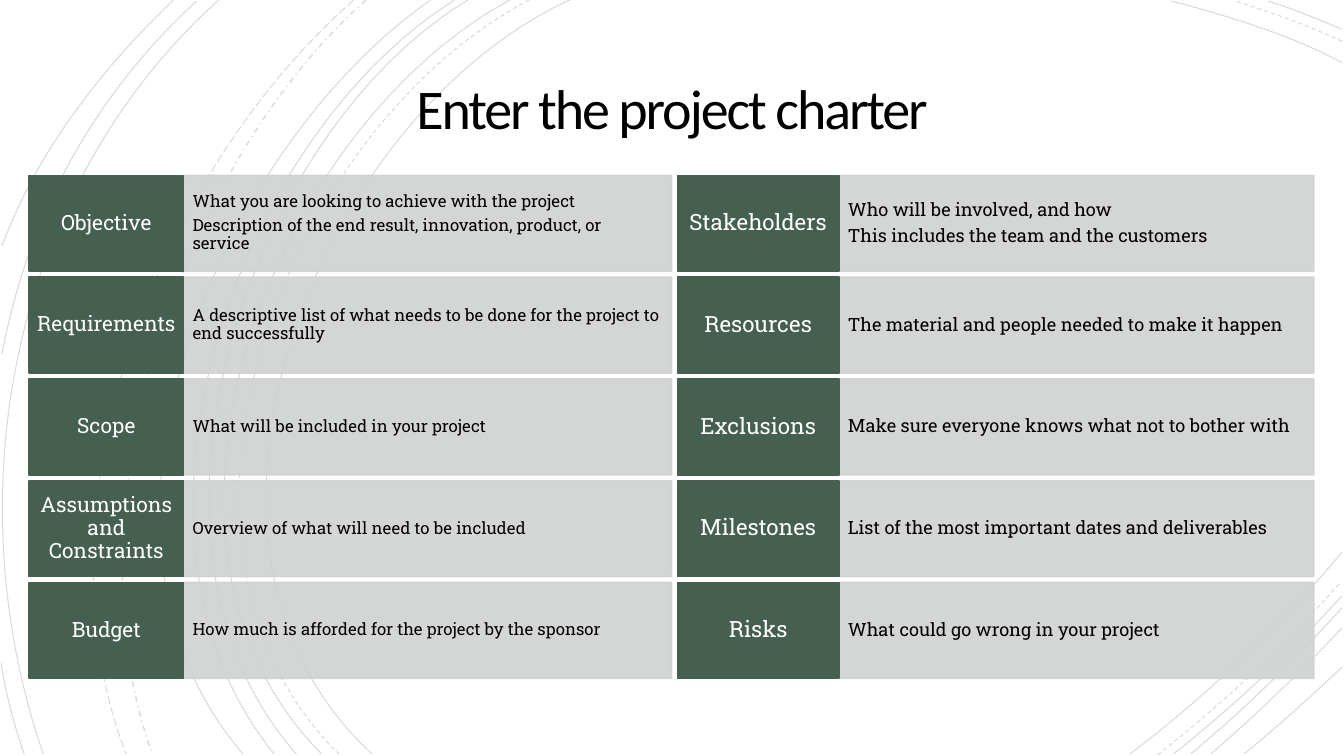
"""Builds the project charter slide: two columns of labelled rows over thin arcs."""
from dataclasses import dataclass

from lxml import etree
from pptx import Presentation
from pptx.dml.color import RGBColor
from pptx.enum.dml import MSO_LINE
from pptx.enum.shapes import MSO_SHAPE
from pptx.enum.text import MSO_ANCHOR, MSO_AUTO_SIZE, PP_ALIGN
from pptx.oxml.ns import qn
from pptx.util import Inches, Pt

RECT = MSO_SHAPE.RECTANGLE
MIDDLE = MSO_ANCHOR.MIDDLE
NO_AUTOFIT = MSO_AUTO_SIZE.NONE
CENTER, LEFT = PP_ALIGN.CENTER, PP_ALIGN.LEFT
SOLID, DASH = MSO_LINE.SOLID, MSO_LINE.DASH
DASH_DOT, LONG_DASH = MSO_LINE.DASH_DOT, MSO_LINE.LONG_DASH


@dataclass(frozen=True)
class Theme:
    ink: str = "000000"
    label_fill: str = "455F51"
    label_text: str = "FFFFFF"
    detail_fill: str = "CFD2D0"
    heading_font: str = "Calibri"
    body_font: str = "Roboto Slab"
    title_size: int = 40
    border: float = 1.25
    detail_alpha: int = 90
    arc_alpha: int = 15


THEME = Theme()
TITLE = "Enter the project charter"

COLUMNS = [
    dict(left=0.29, label_w=1.53, detail_w=4.84, label_size=15, detail_size=12, rows=[
        ("Objective", ["What you are looking to achieve with the project",
                       "Description of the end result, innovation, product, or service"]),
        ("Requirements", ["A descriptive list of what needs to be done for the project "
                          "to end successfully"]),
        ("Scope", ["What will be included in your project"]),
        ("Assumptions and Constraints", ["Overview of what will need to be included"]),
        ("Budget", ["How much is afforded for the project by the sponsor"]),
    ]),
    dict(left=6.72, label_w=1.6, detail_w=4.71, label_size=16, detail_size=13, rows=[
        ("Stakeholders", ["Who will be involved, and how",
                          "This includes the team and the customers"]),
        ("Resources", ["The material and people needed to make it happen"]),
        ("Exclusions", ["Make sure everyone knows what not to bother with"]),
        ("Milestones", ["List of the most important dates and deliverables"]),
        ("Risks", ["What could go wrong in your project"]),
    ]),
]
ROW_TOP, ROW_H, ROW_GAP = 1.74, 0.95, 0.06

ARCS = [
    (SOLID, 0.75, [
        [(5.65, 0), (3.15, 1.15), (1.43, 5.4), (3.69, 7.48)],
        [(5.06, 0), (2.7, 1.27), (1.1, 5.37), (3.19, 7.48)],
        [(4.64, 0), (2.44, 1.33), (1.1, 5.41), (2.94, 7.48)],
        [(4.51, 0), (2.31, 1.38), (0.97, 5.33), (2.72, 7.48)],
        [(4.27, 0), (2.17, 1.47), (0.53, 5.29), (2.41, 7.48)],
        [(2.17, 0), (0.11, 1.85), (-0.46, 4.9), (0.43, 7.48)],
        [(1.95, 0.01), (0.92, 0.96), (0.28, 2.14), (0.02, 3.51)],
        [(1.72, 0), (1, 0.69), (0.37, 1.5), (0.02, 2.44)],
        [(0.01, 6.58), (0.06, 6.89), (0.14, 7.19), (0.24, 7.48)],
        [(13.31, 0.62), (12.78, 0.34), (12.18, 0.16), (11.62, 0.01)],
        [(13.31, 0.29), (13.07, 0.19), (12.83, 0.09), (12.58, 0.01)],
        [(11.21, 7.48), (11.97, 6.9), (12.69, 6.22), (13.31, 5.48)],
        [(11.64, 7.48), (12.23, 7.01), (12.8, 6.48), (13.31, 5.91)],
        [(11.81, 7.48), (12.34, 7.04), (12.84, 6.55), (13.31, 6.03)],
        [(12.01, 7.48), (12.46, 7.09), (12.9, 6.67), (13.31, 6.23)],
        [(12.34, 7.48), (12.67, 7.21), (12.99, 6.92), (13.31, 6.62)],
    ]),
    (DASH, 0.75, [
        [(5.25, 0), (2.85, 1.25), (1.23, 5.37), (3.36, 7.48)],
        [(13.31, 0.41), (12.97, 0.25), (12.6, 0.12), (12.25, 0.01)],
        [(11.48, 7.49), (12.13, 6.98), (12.75, 6.4), (13.3, 5.77)],
    ]),
    (DASH_DOT, 1, [[(3.63, 0), (1.76, 1.66), (0.65, 5.09), (1.51, 7.48)]]),
    (LONG_DASH, 0.75, [[(3.51, 0), (1.57, 1.69), (0.29, 4.99), (1.25, 7.48)]]),
]


def set_alpha(sp, percent):
    for color in sp._element.spPr.iter(qn("a:srgbClr")):
        etree.SubElement(color, qn("a:alpha")).set("val", str(percent * 1000))


def set_line(sp, color, width):
    sp.line.color.rgb = RGBColor.from_string(color)
    sp.line.width = Pt(width)


def bend(sp):
    segments = list(sp._element.spPr.iter(qn("a:lnTo")))
    outline = segments[0].getparent()
    bezier = etree.SubElement(outline, qn("a:cubicBezTo"))
    for segment in segments:
        bezier.append(segment[0])
        outline.remove(segment)


def add_arc(s, curve, dash, width):
    start, *rest = [(Inches(x), Inches(y)) for x, y in curve]
    builder = s.shapes.build_freeform(*start)
    builder.add_line_segments(rest, close=False)
    sp = builder.convert_to_shape()
    bend(sp)
    sp.shadow.inherit = False
    sp.fill.background()
    set_line(sp, THEME.ink, width)
    sp.line.dash_style = dash
    set_alpha(sp, THEME.arc_alpha)


def set_text(sp, lines, font, size, color, align, spacing, after, insets):
    tf = sp.text_frame
    tf.text = "\n".join(lines)
    tf.word_wrap = True
    tf.auto_size = NO_AUTOFIT
    tf.vertical_anchor = MIDDLE
    tf.margin_left = tf.margin_right = Inches(insets[0])
    tf.margin_top = tf.margin_bottom = Inches(insets[1])
    for p in tf.paragraphs:
        p.alignment = align
        p.line_spacing = spacing
        p.space_before = Pt(0)
        p.space_after = Pt(after)
        p.font.name = font
        p.font.size = Pt(size)
        p.font.color.rgb = RGBColor.from_string(color)


def add_cell(s, left, top, width, fill, lines, size, color, align, insets):
    sp = s.shapes.add_shape(RECT, Inches(left), Inches(top), Inches(width), Inches(ROW_H))
    sp.shadow.inherit = False
    sp.fill.solid()
    sp.fill.fore_color.rgb = RGBColor.from_string(fill)
    set_line(sp, fill, THEME.border)
    set_text(sp, lines, THEME.body_font, size, color, align, 0.9, 0.35 * size, insets)
    return sp


def add_column(s, left, label_w, detail_w, label_size, detail_size, rows):
    for i, (label, details) in enumerate(rows):
        top = ROW_TOP + i * (ROW_H + ROW_GAP)
        detail = add_cell(s, left + label_w, top, detail_w, THEME.detail_fill, details,
                          detail_size, THEME.ink, LEFT, (0.09, 0.24))
        set_alpha(detail, THEME.detail_alpha)
        add_cell(s, left, top, label_w, THEME.label_fill, [label],
                 label_size, THEME.label_text, CENTER, (0.06, 0.09))


def add_title(s):
    sp = s.shapes.title
    sp.left, sp.top, sp.width, sp.height = map(Inches, (1.92, 0.54, 9.49, 1.15))
    set_text(sp, [TITLE], THEME.heading_font, THEME.title_size, THEME.ink,
             CENTER, 0.85, 0, (0.25, 0.25))
    r = sp.text_frame.paragraphs[0].runs[0]
    r.font._element.set("spc", "-150")


prs = Presentation()
prs.slide_width, prs.slide_height = Inches(13.33), Inches(7.5)
s = prs.slides.add_slide(prs.slide_layouts[5])
for dash, width, curves in ARCS:
    for curve in curves:
        add_arc(s, curve, dash, width)
add_title(s)
for column in COLUMNS:
    add_column(s, **column)
prs.save("out.pptx")
